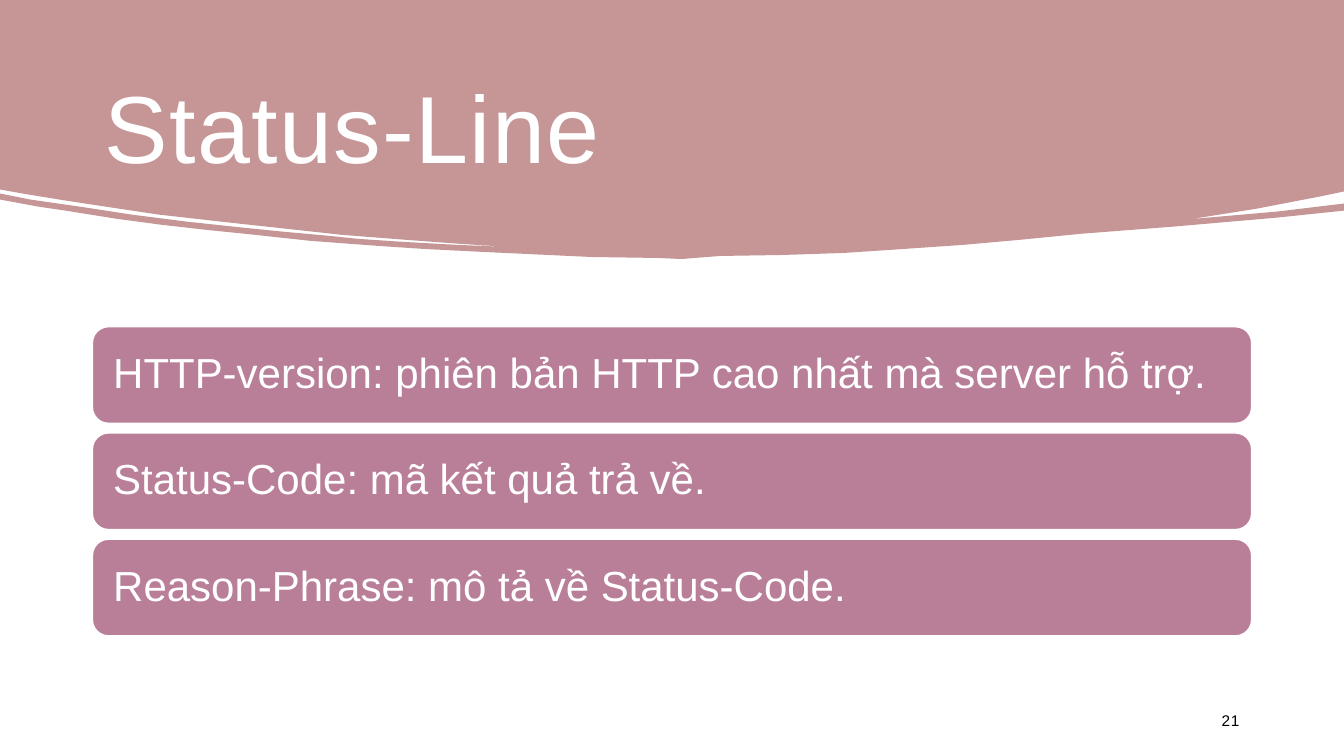
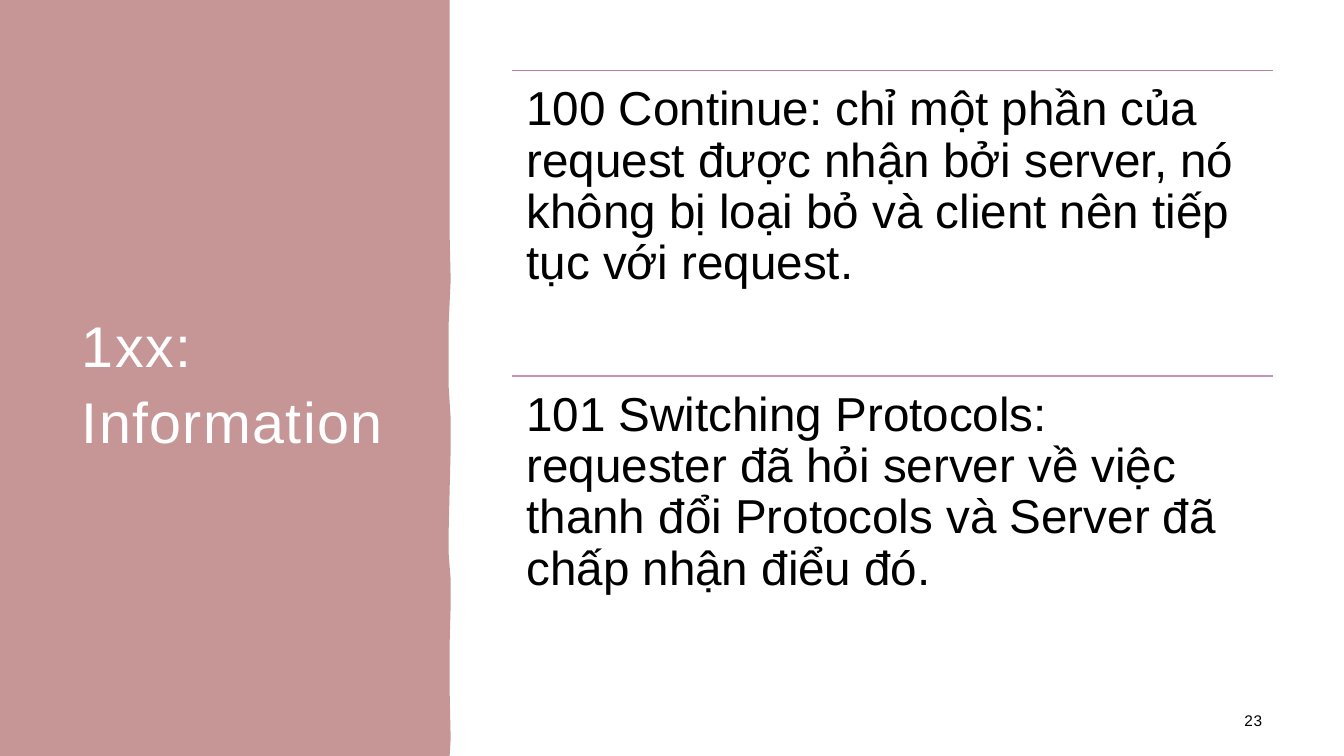
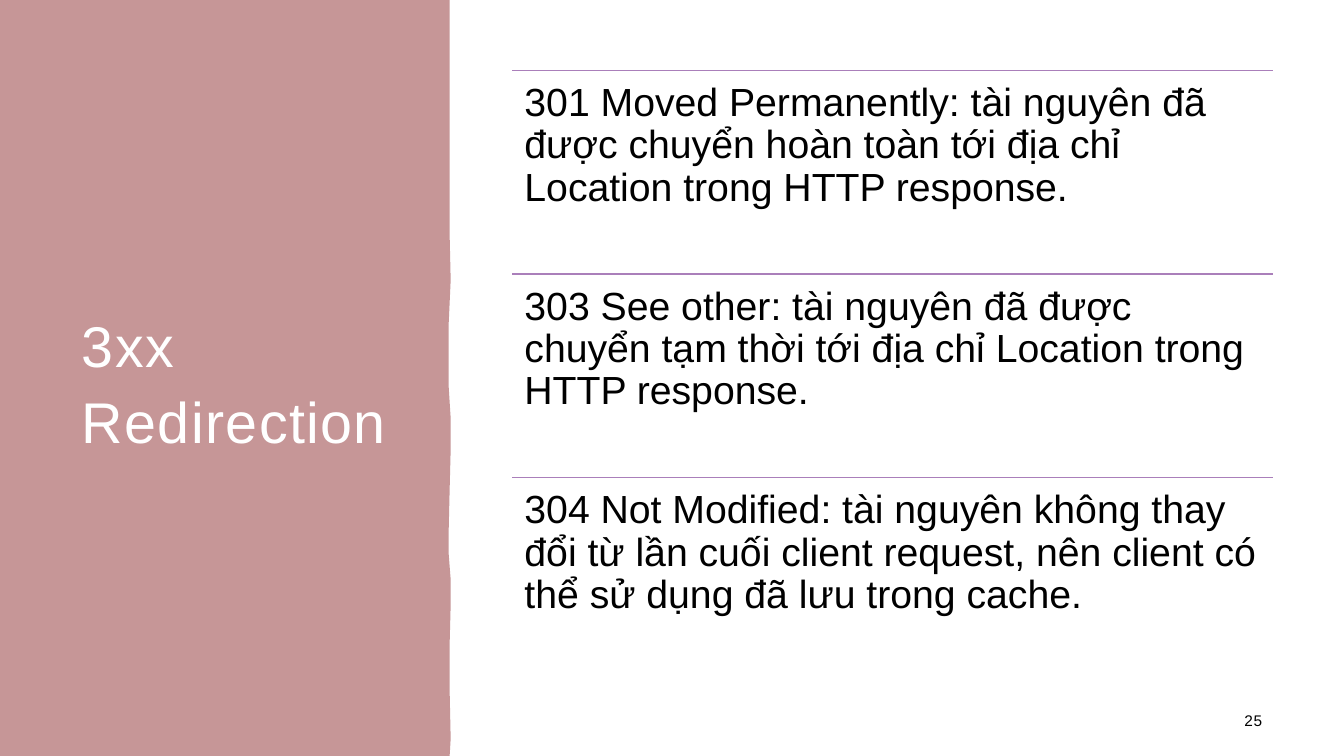
from pptx import Presentation
from pptx.dml.color import RGBColor
from pptx.enum.shapes import MSO_CONNECTOR, MSO_SHAPE
from pptx.enum.text import MSO_ANCHOR, MSO_AUTO_SIZE, PP_ALIGN
from pptx.oxml.ns import qn
from pptx.util import Inches, Pt
from lxml.etree import SubElement

ROSE = RGBColor(0xC6, 0x96, 0x97)
MAUVE = RGBColor(0xBA, 0x7F, 0x98)
ORCHID = RGBColor(0xC4, 0x93, 0xBD)
VIOLET = RGBColor(0xAA, 0x7F, 0xBA)
WHITE = RGBColor(0xFF, 0xFF, 0xFF)
BLACK = RGBColor(0, 0, 0)

FONT = "Arial"
WIDTH, HEIGHT = Inches(13.33), Inches(7.5)
COLS, ROWS = 160, 90

SWOOSH = [
    (0, 0), (13.33, 0), (13.33, 1.9), (13.09, 1.95), (12.47, 2.07), (11.84, 2.17),
    (11.75, 2.18), (11.86, 2.17), (12.66, 2.1), (13.33, 2.02), (13.33, 2.09),
    (12.66, 2.16), (11.62, 2.25), (10.72, 2.32), (10.11, 2.38), (9.55, 2.43),
    (8.82, 2.48), (8.37, 2.51), (7.76, 2.53), (7.14, 2.54), (6.76, 2.57),
    (6.54, 2.56), (5.87, 2.55), (4.8, 2.5), (4.2, 2.47), (3.75, 2.44),
    (3.08, 2.39), (2.53, 2.33), (2.04, 2.28), (1.6, 2.23), (1.15, 2.17),
    (0.65, 2.09), (0.38, 2.05), (0, 1.98), (0, 1.92), (0.3, 1.98), (0.79, 2.05),
    (1.31, 2.13), (1.86, 2.2), (2.42, 2.26), (2.82, 2.3), (3.26, 2.34),
    (3.55, 2.37), (4, 2.4), (4.54, 2.43), (5.04, 2.45), (4.57, 2.42),
    (4.03, 2.38), (3.39, 2.33), (2.84, 2.27), (2.29, 2.21), (1.58, 2.13),
    (1.11, 2.06), (0.65, 1.99), (0.22, 1.92), (0, 1.88),
]
TORN_EDGE = [
    (0, 0), (4.46, 0), (4.46, 0.63), (4.46, 1.02), (4.46, 1.41), (4.46, 1.74),
    (4.46, 2.33), (4.47, 2.78), (4.45, 3.22), (4.45, 3.83), (4.47, 4.15),
    (4.47, 4.46), (4.46, 4.86), (4.45, 5.28), (4.45, 5.49), (4.47, 5.75),
    (4.47, 6), (4.46, 6.39), (4.46, 6.85), (4.47, 7.33), (4.46, 7.5), (0, 7.5),
]


class Deck:
    """Holds the deck's style and current slide, and places elements on a grid."""

    def __init__(self):
        self.prs = Presentation()
        self.prs.slide_width, self.prs.slide_height = WIDTH, HEIGHT
        self.s = None

    def x(self, col):
        return round(WIDTH * col / COLS)

    def y(self, row):
        return round(HEIGHT * row / ROWS)

    def box(self, col, row, cols, rows):
        return self.x(col), self.y(row), self.x(cols), self.y(rows)

    def set_text(self, sp, text, size, color, inset=(0.12, 0.12, 0.12, 0.12),
                 anchor=MSO_ANCHOR.MIDDLE, align=PP_ALIGN.LEFT, leading=0.9, tracking=0):
        tf = sp.text_frame
        tf.auto_size, tf.word_wrap = MSO_AUTO_SIZE.NONE, True
        tf.vertical_anchor = anchor
        tf.margin_left, tf.margin_top, tf.margin_right, tf.margin_bottom = map(Inches, inset)
        p = tf.paragraphs[0]
        p.alignment, p.line_spacing = align, leading
        r = p.add_run()
        r.text = text
        r.font.name, r.font.size, r.font.color.rgb = FONT, Pt(size), color
        if tracking:
            r._r.get_or_add_rPr().set("spc", str(round(tracking * 100)))

    def slide(self, outline, title, title_box, size, number, number_box):
        self.s = self.prs.slides.add_slide(self.prs.slide_layouts[5])
        self.panel(outline)
        sp = self.s.shapes.title
        sp.left, sp.top, sp.width, sp.height = self.box(*title_box)
        self.set_text(sp, title, size, WHITE, (0.12, 0.12, 0.12, 0.1), leading=1.1, tracking=1)
        self.text(number, number_box, 11, inset=(0.12, 0.12, 0.12, 0.1),
                  align=PP_ALIGN.RIGHT, tracking=0.4)

    def panel(self, outline):
        points = [(x * 100, y * 100) for x, y in outline]
        builder = self.s.shapes.build_freeform(*points[0], scale=Inches(0.01))
        builder.add_line_segments(points[1:])
        sp = builder.convert_to_shape()
        sp.shadow.inherit = False
        sp.fill.solid()
        sp.fill.fore_color.rgb = ROSE
        sp.line.fill.background()
        self.s.shapes._spTree.insert(2, sp._element)

    def text(self, text, box, size, **style):
        self.set_text(self.s.shapes.add_textbox(*self.box(*box)), text, size, BLACK, **style)

    def bar(self, text, box):
        sp = self.s.shapes.add_shape(MSO_SHAPE.ROUNDED_RECTANGLE, *self.box(*box))
        sp.shadow.inherit = False
        sp.fill.solid()
        sp.fill.fore_color.rgb = MAUVE
        sp.line.color.rgb, sp.line.width = WHITE, Pt(1)
        self.set_text(sp, text, 30, WHITE, inset=(0.16, 0.12, 0.16, 0.12))

    def rule(self, col, row, cols, color):
        y = self.y(row)
        line = self.s.shapes.add_connector(
            MSO_CONNECTOR.STRAIGHT, self.x(col), y, self.x(col + cols), y)
        line.line.color.rgb, line.line.width = color, Pt(1)
        SubElement(line._element.spPr, qn("a:effectLst"))

    def bars(self, texts, col=11, row=38.9, cols=138, rows=11.5, gap=1.15):
        for i, text in enumerate(texts):
            self.bar(text, (col, row + i * (rows + gap), cols, rows))

    def ruled_list(self, items, size, inset, col=61, row=8.4, cols=90.6, rows=72.7):
        step = rows / len(items)
        for i, (text, color) in enumerate(items):
            top = row + i * step
            self.rule(col, top, cols, color)
            self.text(text, (col, top, cols, step), size,
                      inset=(inset,) * 4, anchor=MSO_ANCHOR.TOP)

    def side_slide(self, title, number, items, size, inset):
        self.slide(TORN_EDGE, title, (8.3, 8.4, 40.7, 73.3), 41,
                   number, (127.7, 83.4, 24, 4.8))
        self.ruled_list(items, size, inset)


def main():
    deck = Deck()

    deck.slide(SWOOSH, "Status-Line", (11, 5.3, 138, 17.6), 68, "21", (113, 83.4, 36, 4.8))
    deck.bars([
        "HTTP-version: phiên bản HTTP cao nhất mà server hỗ trợ.",
        "Status-Code: mã kết quả trả về.",
        "Reason-Phrase: mô tả về Status-Code.",
    ])

    deck.side_slide("1xx: Information", "23", [
        ("100 Continue: chỉ một phần của request được nhận bởi server, nó không bị "
         "loại bỏ và client nên tiếp tục với request.", MAUVE),
        ("101 Switching Protocols: requester đã hỏi server về việc thanh đổi Protocols "
         "và Server đã chấp nhận điểu đó.", ORCHID),
    ], 34, 0.14)

    deck.side_slide("3xx Redirection", "25", [
        ("301 Moved Permanently: tài nguyên đã được chuyển hoàn toàn tới địa chỉ "
         "Location trong HTTP response.", VIOLET),
        ("303 See other: tài nguyên đã được chuyển tạm thời tới địa chỉ Location "
         "trong HTTP response.", VIOLET),
        ("304 Not Modified: tài nguyên không thay đổi từ lần cuối client request, "
         "nên client có thể sử dụng đã lưu trong cache.", VIOLET),
    ], 28, 0.12)

    deck.prs.save("out.pptx")


if __name__ == "__main__":
    main()
